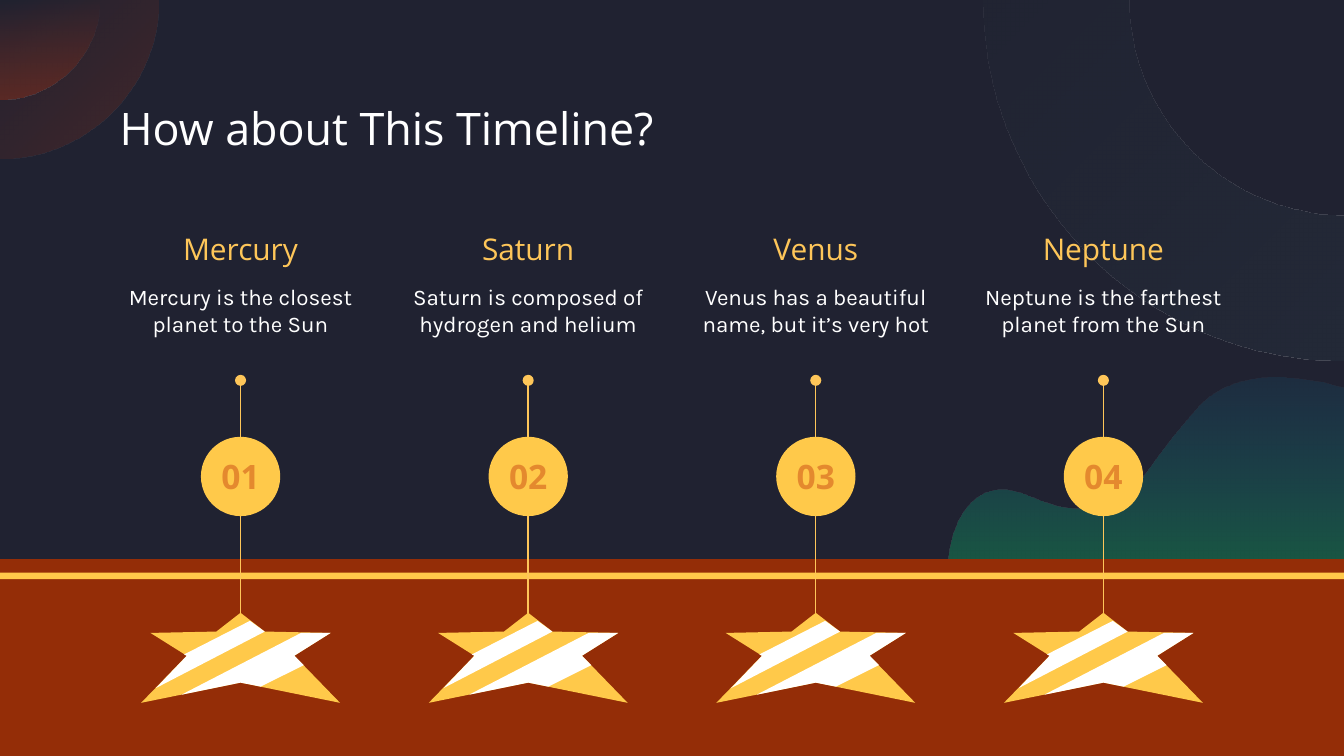
"""Build a four-step planet timeline on a circus-style night background."""
from dataclasses import dataclass

from lxml import etree
from pptx import Presentation
from pptx.dml.color import RGBColor
from pptx.enum.shapes import MSO_CONNECTOR, MSO_SHAPE
from pptx.enum.text import MSO_ANCHOR, MSO_AUTO_SIZE, PP_ALIGN
from pptx.oxml.ns import qn
from pptx.util import Inches, Pt

LEFT, CENTER = PP_ALIGN.LEFT, PP_ALIGN.CENTER
TOP, MIDDLE, BOTTOM = MSO_ANCHOR.TOP, MSO_ANCHOR.MIDDLE, MSO_ANCHOR.BOTTOM
OVAL, RECT, STRAIGHT = MSO_SHAPE.OVAL, MSO_SHAPE.RECTANGLE, MSO_CONNECTOR.STRAIGHT
NO_FIT = MSO_AUTO_SIZE.NONE

NIGHT = RGBColor(0x20, 0x22, 0x31)
RUST = RGBColor(0x9C, 0x32, 0x18)
SLATE = RGBColor(0x25, 0x2C, 0x3A)
GREEN = RGBColor(0x0A, 0xC6, 0x68)
BLUE = RGBColor(0x0A, 0x94, 0xC6)
FLOOR = RGBColor(0x94, 0x2D, 0x07)
GOLD = RGBColor(0xFF, 0xC9, 0x4A)
AMBER = RGBColor(0xFE, 0xC6, 0x59)
ORANGE = RGBColor(0xE4, 0x89, 0x2E)
WHITE = RGBColor(0xFF, 0xFF, 0xFF)

HEAD_FONT, BODY_FONT = "Open Sans", "Karla"
WIDTH, HEIGHT = 10, 5.625
FIRST_COL, COL_STEP = 1.79, 2.14
NAME_ROW, FACT_ROW, STEM_ROW, DISC_ROW, STAR_ROW = 1.68, 2.01, 2.83, 3.25, 4.56
DISC = 0.59
CURVE_STEPS = 40


@dataclass(frozen=True)
class Planet:
    name: str
    fact: str


@dataclass(frozen=True)
class Glow:
    outline: tuple
    colors: tuple
    alphas: tuple
    angle: int


def quarter_disc(r: float) -> tuple:
    k = 0.55 * r
    return ((0, 0), (0, r), (k, r, r, k, r, 0))


PLANETS = (
    Planet("Mercury", "Mercury is the closest planet to the Sun"),
    Planet("Saturn", "Saturn is composed of hydrogen and helium"),
    Planet("Venus", "Venus has a beautiful name, but it’s very hot"),
    Planet("Neptune", "Neptune is the farthest planet from the Sun"),
)

RING = ((7.32, 0), (7.32, 1.48, 8.52, 2.68, 10, 2.68), (10, 1.6),
        (9.12, 1.6, 8.4, 0.88, 8.4, 0))
HILLS = ((9.49, 2.81), (9.28, 2.81, 9.08, 2.86, 8.93, 3.01),
         (8.47, 3.51, 8.48, 3.74, 8.11, 3.78), (8.08, 3.78, 8.06, 3.78, 8.03, 3.78),
         (7.78, 3.78, 7.63, 3.64, 7.46, 3.64), (7.42, 3.64, 7.37, 3.65, 7.32, 3.67),
         (7.06, 3.81, 7.06, 4.2, 7.06, 4.2), (10, 4.2), (10, 2.89),
         (9.84, 2.84, 9.66, 2.81, 9.49, 2.81))
GLOWS = (
    Glow(quarter_disc(1.18), (RUST, RUST), (30, 0), 135),
    Glow(quarter_disc(0.74), (RUST, RUST), (42, 0), 90),
    Glow(RING, (SLATE, SLATE), (75, 20), 135),
    Glow(HILLS, (GREEN, BLUE), (33, 10), 90),
)

STAR = ((0, 0), (-0.18, 0.14), (-0.67, 0.15), (-0.4, 0.32), (-0.74, 0.67), (0, 0.52),
        (0.74, 0.67), (0.4, 0.32), (0.67, 0.15), (0.18, 0.14))
LOWER_STRIPE = ((0.45, 0.15), (-0.44, 0.61), (0, 0.52), (0.15, 0.55), (0.47, 0.39),
                (0.4, 0.32), (0.67, 0.15))
UPPER_STRIPE = ((0.07, 0.06), (-0.42, 0.31), (-0.4, 0.32), (-0.63, 0.56), (0.18, 0.14))
STAR_PARTS = ((STAR, GOLD), (LOWER_STRIPE, WHITE), (UPPER_STRIPE, WHITE))


def flatten(outline: tuple) -> list:
    """Turn points and cubic segments into a list of points."""
    points = [outline[0]]
    for seg in outline[1:]:
        if len(seg) == 2:
            points.append(seg)
            continue
        x0, y0 = points[-1]
        x1, y1, x2, y2, x3, y3 = seg
        for i in range(1, CURVE_STEPS + 1):
            t = i / CURVE_STEPS
            u = 1 - t
            a, b, c, d = u ** 3, 3 * u * u * t, 3 * u * t * t, t ** 3
            points.append((a * x0 + b * x1 + c * x2 + d * x3,
                           a * y0 + b * y1 + c * y2 + d * y3))
    return points


def paint(sp, color: RGBColor) -> None:
    """Give a shape a flat fill without line or shadow."""
    sp.shadow.inherit = False
    sp.line.fill.background()
    sp.fill.solid()
    sp.fill.fore_color.rgb = color


def add_outline(s, outline: tuple, color: RGBColor, dx: float = 0, dy: float = 0):
    """Draw a closed outline shifted by dx and dy."""
    points = [(Inches(x + dx), Inches(y + dy)) for x, y in flatten(outline)]
    builder = s.shapes.build_freeform(*points[0])
    builder.add_line_segments(points[1:], close=True)
    sp = builder.convert_to_shape()
    paint(sp, color)
    return sp


def add_glow(s, glow: Glow) -> None:
    """Draw an outline with a transparent gradient."""
    sp = add_outline(s, glow.outline, glow.colors[0])
    sp.fill.gradient()
    sp.fill.gradient_angle = glow.angle
    for stop, color in zip(sp.fill.gradient_stops, glow.colors):
        stop.color.rgb = color
    for clr, alpha in zip(sp.element.spPr.iter(qn("a:srgbClr")), glow.alphas):
        etree.SubElement(clr, qn("a:alpha"), val=str(alpha * 1000))


def add_block(s, kind, x: float, y: float, w: float, h: float, color: RGBColor) -> None:
    """Draw a flat preset shape."""
    paint(s.shapes.add_shape(kind, Inches(x), Inches(y), Inches(w), Inches(h)), color)


def write(sp, text: str, *, size: int, color: RGBColor, font: str = HEAD_FONT,
          bold: bool = False, align=CENTER, anchor=TOP) -> None:
    """Fill a shape with one formatted paragraph."""
    tf = sp.text_frame
    tf.word_wrap = True
    tf.auto_size = NO_FIT
    tf.vertical_anchor = anchor
    tf.margin_left = tf.margin_right = tf.margin_top = tf.margin_bottom = Inches(0.1)
    p = tf.paragraphs[0]
    p.alignment = align
    r = p.add_run()
    r.text = text
    r.font.size, r.font.name, r.font.bold = Pt(size), font, bold
    r.font.color.rgb = color


def add_label(s, text: str, center: float, y: float, w: float, h: float, **style) -> None:
    """Add a text box centred on a column."""
    box = s.shapes.add_textbox(Inches(center - w / 2), Inches(y), Inches(w), Inches(h))
    write(box, text, **style)


def add_stem(s, x: float) -> None:
    """Draw the vertical line with round ends."""
    line = s.shapes.add_connector(STRAIGHT, Inches(x), Inches(STEM_ROW), Inches(x), Inches(4.68))
    line.line.color.rgb = AMBER
    line.line.width = Pt(0.75)
    ln = line.line._get_or_add_ln()
    for end in ("a:headEnd", "a:tailEnd"):
        etree.SubElement(ln, qn(end), type="oval")
    etree.SubElement(line.element.spPr, qn("a:effectLst"))


def add_planet(s, index: int, planet: Planet) -> None:
    """Draw one column of the timeline."""
    x = FIRST_COL + index * COL_STEP
    add_label(s, planet.name, x, NAME_ROW, 1.63, 0.4, size=16, color=AMBER, anchor=BOTTOM)
    add_label(s, planet.fact, x, FACT_ROW, 1.99, 0.59, size=12, color=WHITE, font=BODY_FONT)
    add_stem(s, x)
    add_block(s, OVAL, x - DISC / 2, DISC_ROW, DISC, DISC, GOLD)
    add_label(s, f"{index + 1:02}", x, DISC_ROW, 0.62, DISC, size=18, color=ORANGE,
              bold=True, anchor=MIDDLE)
    for outline, color in STAR_PARTS:
        add_outline(s, outline, color, x, STAR_ROW)


def main() -> None:
    prs = Presentation()
    prs.slide_width, prs.slide_height = Inches(WIDTH), Inches(HEIGHT)
    s = prs.slides.add_slide(prs.slide_layouts[5])
    s.background.fill.solid()
    s.background.fill.fore_color.rgb = NIGHT
    for glow in GLOWS:
        add_glow(s, glow)
    add_block(s, RECT, 0, 4.16, WIDTH, HEIGHT - 4.16, FLOOR)
    add_block(s, RECT, 0, 4.26, WIDTH, 0.05, GOLD)
    title = s.shapes.title
    title.left, title.top, title.width, title.height = map(Inches, (0.79, 0.65, 8.48, 0.63))
    write(title, "How about This Timeline?", size=24, color=WHITE, align=LEFT)
    title.element.getparent().append(title.element)
    for index, planet in enumerate(PLANETS):
        add_planet(s, index, planet)
    prs.save("out.pptx")


if __name__ == "__main__":
    main()
